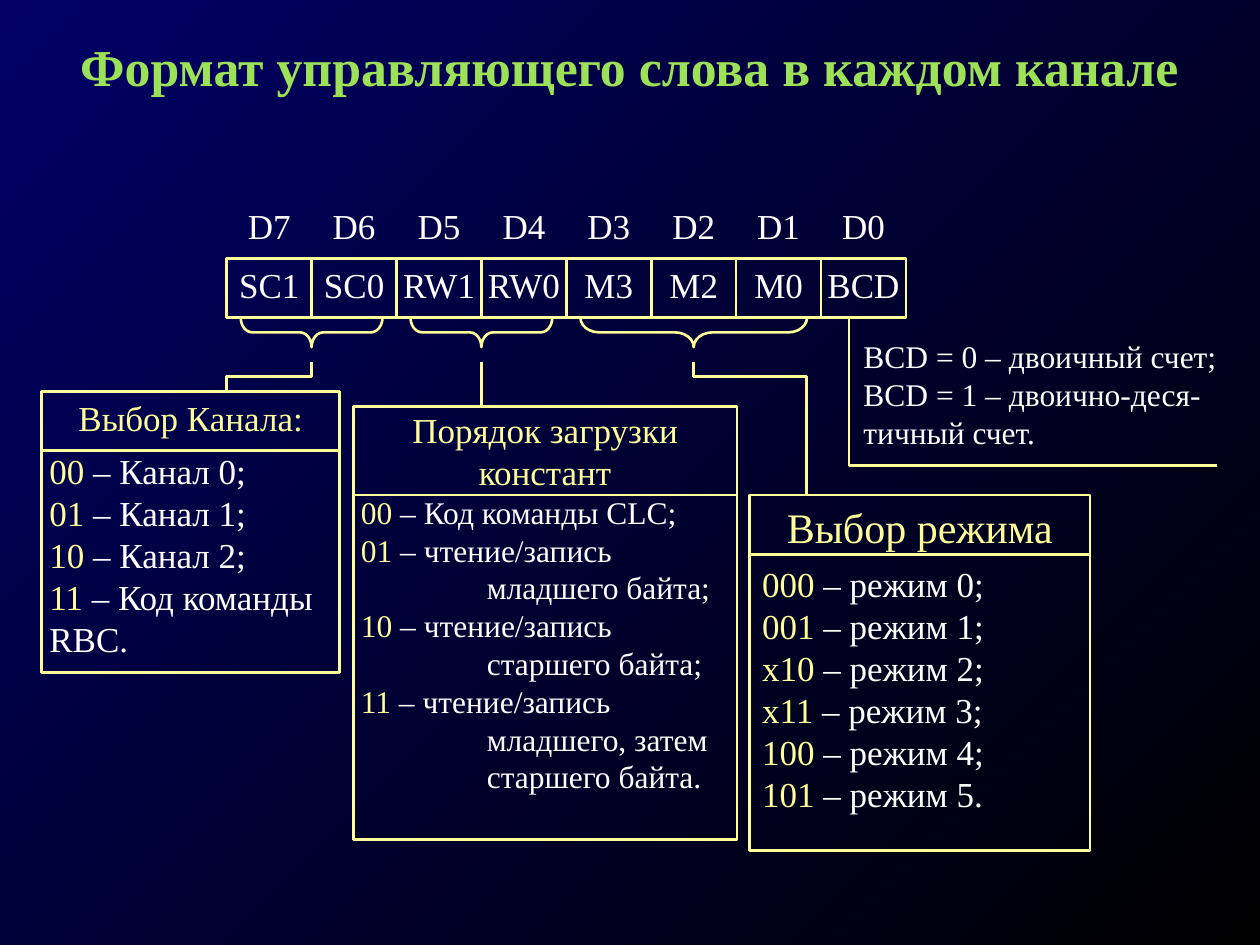
import pptx
import pptx.dml.color
import pptx.enum.shapes
import pptx.enum.text
import pptx.oxml.ns
import pptx.util
from lxml import etree

SLIDE_WIDTH, SLIDE_HEIGHT = 10, 7.5
LEFT, TOP = 1.8, 2.05
COLUMN, ROW = 5.39 / 8, 0.47
FONT = "Times New Roman"
WHITE, YELLOW, GREEN = "FFFFFF", "FFFF99", "9CE157"
CENTER = pptx.enum.text.PP_ALIGN.CENTER
START = pptx.enum.text.PP_ALIGN.LEFT

FIELDS = ["SC1", "SC0", "RW1", "RW0", "M3", "M2", "M0", "BCD"]
CHANNELS = [("00", " – Канал 0;"), ("01", " – Канал 1;"),
            ("10", " – Канал 2;"), ("11", " – Код команды RBC.")]
LOADING = [("00", " – Код команды CLC;"),
           ("01", " – чтение/запись"), ("", "младшего байта;"),
           ("10", " – чтение/запись"), ("", "старшего байта;"),
           ("11", " – чтение/запись"), ("", "младшего, затем"), ("", "старшего байта.")]
MODES = [(code, f" – режим {number};") for number, code in
         enumerate(["000", "001", "х10", "х11", "100"])] + [("101", " – режим 5.")]


def color(value):
    """Turn a hex string into a colour."""
    return pptx.dml.color.RGBColor.from_string(value)


def grid_x(column):
    """Return the horizontal position of a column."""
    return pptx.util.Inches(LEFT + column * COLUMN)


def grid_y(row):
    """Return the vertical position of a row."""
    return pptx.util.Inches(TOP + row * ROW)


def grid_area(left, top, right, bottom):
    """Return left, top, width and height of an area of the grid."""
    x, y = grid_x(left), grid_y(top)
    return x, y, grid_x(right) - x, grid_y(bottom) - y


def style_outline(shape):
    """Give a shape the yellow outline without fill or shadow."""
    shape.shadow.inherit = False
    shape.fill.background()
    shape.line.color.rgb = color(YELLOW)
    shape.line.width = pptx.util.Pt(1.5)


def style_frame(shape, side, top):
    """Set wrapping, top anchor and insets of a text frame and return it."""
    frame = shape.text_frame
    frame.word_wrap = True
    frame.vertical_anchor = pptx.enum.text.MSO_ANCHOR.TOP
    frame.margin_left = frame.margin_right = pptx.util.Inches(side)
    frame.margin_top = frame.margin_bottom = pptx.util.Inches(top)
    return frame


def style_paragraph(paragraph, size, value, alignment=START):
    """Set the alignment, font, size and colour of a paragraph."""
    paragraph.alignment = alignment
    paragraph.font.name = FONT
    paragraph.font.size = pptx.util.Pt(size)
    paragraph.font.color.rgb = color(value)


def set_background(slide):
    """Fill the background with a diagonal gradient."""
    fill = slide.background.fill
    fill.gradient()
    fill.gradient_angle = 315
    for stop, position, value in zip(fill.gradient_stops, (0, 1), ("000066", "000000")):
        stop.position = position
        stop.color.rgb = color(value)


def add_title(slide, text):
    """Write the title across the slide."""
    title = slide.shapes.title
    title.left, title.top = 0, pptx.util.Inches(0.33)
    title.width, title.height = pptx.util.Inches(SLIDE_WIDTH), pptx.util.Inches(0.5)
    frame = title.text_frame
    frame.text = text
    frame.vertical_anchor = pptx.enum.text.MSO_ANCHOR.MIDDLE
    paragraph = frame.paragraphs[0]
    paragraph.line_spacing = 0.7
    style_paragraph(paragraph, 29.6, GREEN, CENTER)
    paragraph.font.bold = True


def add_rectangle(slide, area):
    """Draw an outlined rectangle on the grid."""
    shape = slide.shapes.add_shape(
        pptx.enum.shapes.MSO_SHAPE.RECTANGLE, *grid_area(*area))
    style_outline(shape)
    return shape


def add_label(slide, area, lines, size, alignment=START):
    """Write white lines in a text box on the grid."""
    label = slide.shapes.add_textbox(*grid_area(*area))
    frame = style_frame(label, 0, 0.04)
    frame.text = "\n".join(lines)
    for paragraph in frame.paragraphs:
        style_paragraph(paragraph, size, WHITE, alignment)


def add_bits(slide):
    """Draw the control word with the bit number above each field."""
    for column, field in enumerate(FIELDS):
        add_label(slide, (column, -1, column + 1, 0), [f"D{7 - column}"], 20, CENTER)
        cell = add_rectangle(slide, (column, 0, column + 1, 1))
        frame = style_frame(cell, 0, 0.04)
        frame.text = field
        style_paragraph(frame.paragraphs[0], 20, WHITE, CENTER)


def add_brace(slide, center, columns, curve):
    """Draw a brace under the control word, pointing down."""
    width, height = pptx.util.Inches(ROW / 2), pptx.util.Inches(columns * COLUMN)
    brace = slide.shapes.add_shape(
        pptx.enum.shapes.MSO_SHAPE.LEFT_BRACE,
        grid_x(center) - width // 2, grid_y(1.25) - height // 2, width, height)
    brace.rotation = 270
    brace.adjustments[0] = curve
    style_outline(brace)


def add_polyline(slide, points):
    """Draw an open bent line through points of the grid."""
    corners = [(grid_x(column), grid_y(row)) for column, row in points]
    builder = slide.shapes.build_freeform(*corners[0])
    builder.add_line_segments(corners[1:], close=False)
    style_outline(builder.convert_to_shape())


def add_line(slide, start, end):
    """Draw a straight line between two points of the grid."""
    line = slide.shapes.add_connector(
        pptx.enum.shapes.MSO_CONNECTOR.STRAIGHT,
        grid_x(start[0]), grid_y(start[1]), grid_x(end[0]), grid_y(end[1]))
    line.line.color.rgb = color(YELLOW)
    line.line.width = pptx.util.Pt(1.5)
    etree.SubElement(line._element.spPr, pptx.oxml.ns.qn("a:effectLst"))


def add_code_box(slide, area, divider, heading, entries, sizes, insets, gap):
    """Draw a box with a heading, a divider and a list of codes."""
    frame = style_frame(add_rectangle(slide, area), *insets)
    frame.text = heading
    style_paragraph(frame.paragraphs[0], sizes[0], YELLOW, CENTER)
    for index, (code, meaning) in enumerate(entries):
        paragraph = frame.add_paragraph()
        if index == 0:
            paragraph.space_before = pptx.util.Pt(gap)
        if code:
            run = paragraph.add_run()
            run.text = code
            run.font.color.rgb = color(YELLOW)
        else:
            paragraph._p.get_or_add_pPr().set("marL", str(pptx.util.Inches(1)))
        paragraph.add_run().text = meaning
        style_paragraph(paragraph, sizes[1], WHITE)
    add_line(slide, (area[0], divider), (area[2], divider))


def main():
    """Build the slide and save it."""
    presentation = pptx.Presentation()
    presentation.slide_width = pptx.util.Inches(SLIDE_WIDTH)
    presentation.slide_height = pptx.util.Inches(SLIDE_HEIGHT)
    slide = presentation.slides.add_slide(presentation.slide_layouts[5])
    set_background(slide)
    add_title(slide, "Формат управляющего слова в каждом канале")
    add_bits(slide)
    for center, columns, curve in [(1, 1.67, 0.39), (3, 1.67, 0.39), (5.5, 2.67, 0.63)]:
        add_brace(slide, center, columns, curve)

    add_label(slide, (7.5, 1.25, 12.17, 3.5),
              ["BCD = 0 – двоичный счет;", "BCD = 1 – двоично-деся-\vтичный счет."], 18)
    add_polyline(slide, [(7.33, 1), (7.33, 3.5), (11.67, 3.5)])

    add_code_box(slide, (-2.18, 2.25, 1.33, 7), 3.25, "Выбор Канала:",
                 CHANNELS, (20, 20), (0.06, 0.04), 6)
    add_polyline(slide, [(1, 1.75), (1, 2), (0, 2), (0, 2.25)])
    add_code_box(slide, (1.49, 2.5, 6.01, 9.82), 4, "Порядок загрузки констант",
                 LOADING, (20, 18), (0.06, 0.02), 0)
    add_line(slide, (3, 1.75), (3, 2.5))
    add_code_box(slide, (6.16, 4, 10.17, 10), 5, "Выбор режима",
                 MODES, (24, 20), (0.1, 0.05), 6)
    add_polyline(slide, [(5.5, 1.75), (5.5, 2), (6.83, 2), (6.83, 4)])
    presentation.save("out.pptx")


if __name__ == "__main__":
    main()
